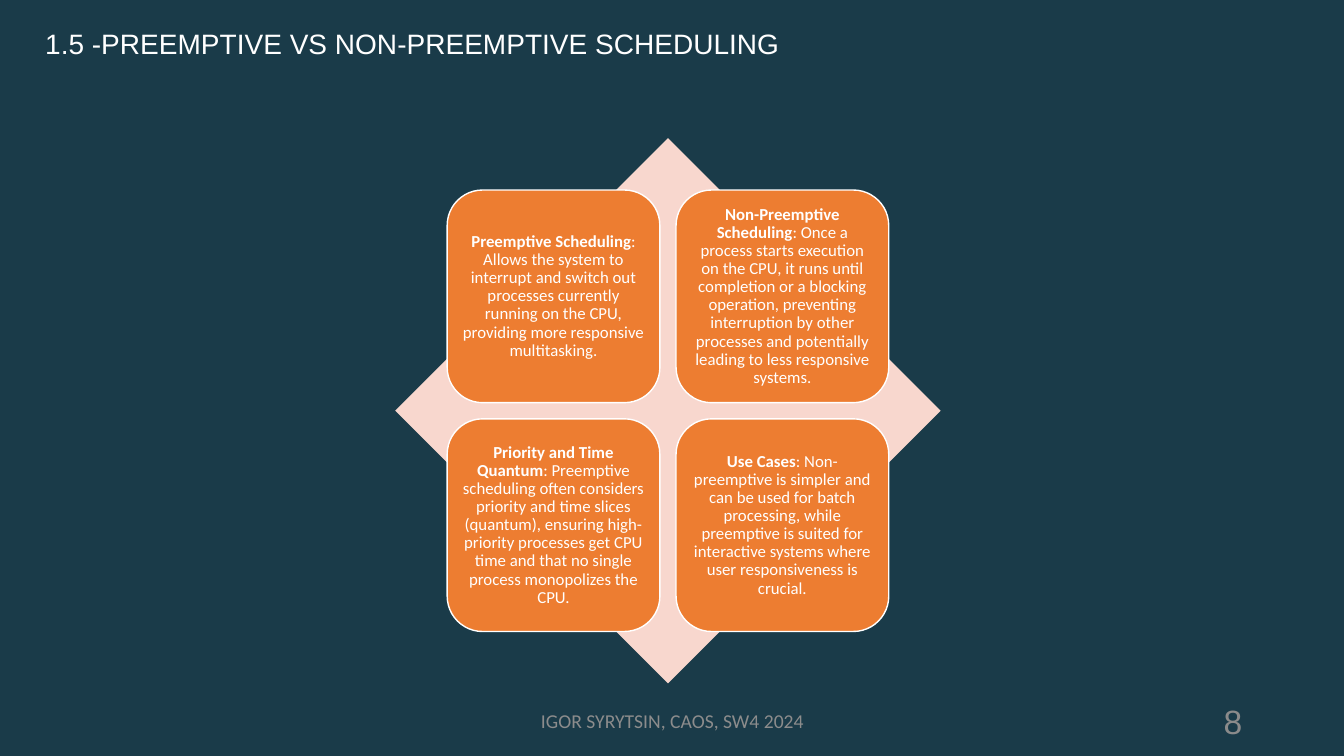
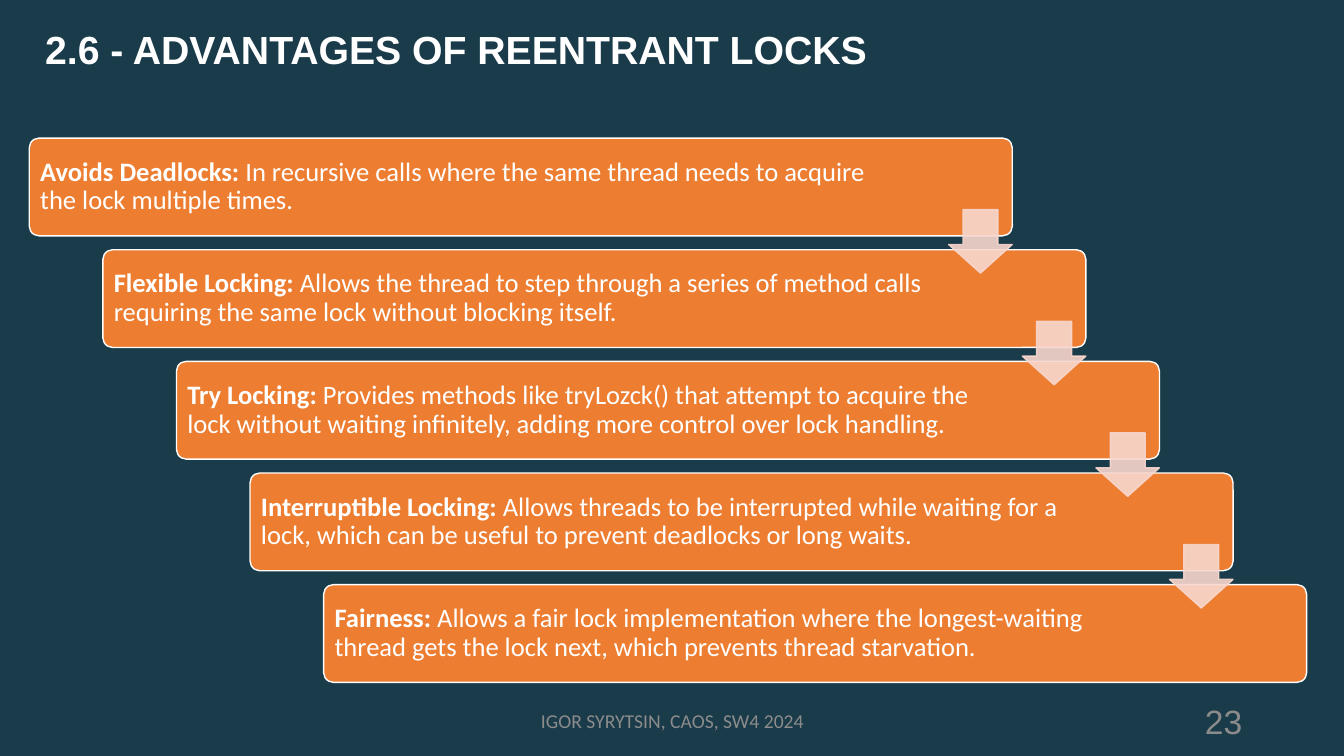
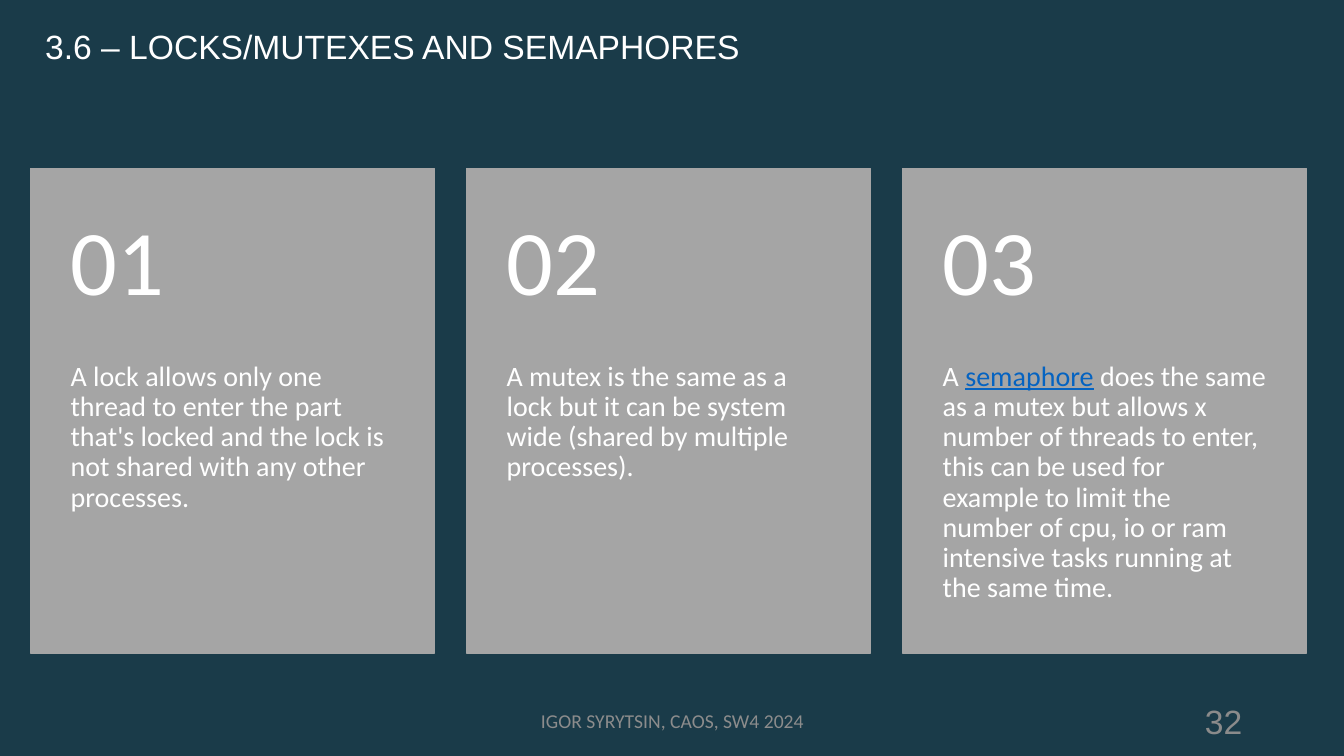
import dataclasses
import lxml.etree
import pptx
import pptx.dml.color
import pptx.enum.shapes
import pptx.enum.text
import pptx.oxml.ns
import pptx.util

Inches = pptx.util.Inches
SHAPE = pptx.enum.shapes.MSO_SHAPE
ANCHOR = pptx.enum.text.MSO_ANCHOR
ALIGN = pptx.enum.text.PP_ALIGN


@dataclasses.dataclass(frozen=True)
class Theme:
    background: str = "1A3B49"
    text: str = "FFFFFF"
    accent: str = "ED7D31"
    pale: str = "F8D7CE"
    card: str = "A5A5A5"
    link: str = "0563C1"
    footer: str = "8C8C8C"
    number: str = "8B8B8B"
    heading_font: str = "Arial"
    body_font: str = "Calibri"
    quadrant_size: int = 12
    footer_size: int = 14
    step_size: int = 19
    card_size: int = 20
    page_number_size: int = 24
    card_number_size: int = 66


@dataclasses.dataclass(frozen=True)
class Box:
    left: float
    top: float
    width: float
    height: float

    def lengths(self):
        return [Inches(side) for side in dataclasses.astuple(self)]


THEME = Theme()
TITLE_BOX = Box(0.35, 0.25, 11.5, 0.68)
FOOTER_BOX = Box(4.42, 6.95, 4.5, 0.4)
NUMBER_BOX = Box(9.42, 6.95, 3, 0.4)
FOOTER = "IGOR SYRYTSIN, CAOS, SW4 2024"

QUADRANTS = [
    ("Preemptive Scheduling",
     ": Allows the system to interrupt and switch out processes currently running "
     "on the CPU, providing more responsive multitasking."),
    ("Non-Preemptive Scheduling",
     ": Once a process starts execution on the CPU, it runs until completion or a "
     "blocking operation, preventing interruption by other processes and "
     "potentially leading to less responsive systems."),
    ("Priority and Time Quantum",
     ": Preemptive scheduling often considers priority and time slices (quantum), "
     "ensuring high-priority processes get CPU time and that no single process "
     "monopolizes the CPU."),
    ("Use Cases",
     ": Non-preemptive is simpler and can be used for batch processing, while "
     "preemptive is suited for interactive systems where user responsiveness is "
     "crucial."),
]

STEPS = [
    ("Avoids Deadlocks:",
     " In recursive calls where the same thread needs to acquire the lock multiple "
     "times."),
    ("Flexible Locking:",
     " Allows the thread to step through a series of method calls requiring the "
     "same lock without blocking itself."),
    ("Try Locking:",
     " Provides methods like tryLozck() that attempt to acquire the lock without "
     "waiting infinitely, adding more control over lock handling."),
    ("Interruptible Locking:",
     " Allows threads to be interrupted while waiting for a lock, which can be "
     "useful to prevent deadlocks or long waits."),
    ("Fairness:",
     " Allows a fair lock implementation where the longest-waiting thread gets the "
     "lock next, which prevents thread starvation."),
]

CARDS = [
    ["A lock allows only one thread to enter the part that's locked and the lock "
     "is not shared with any other processes."],
    ["A mutex is the same as a lock but it can be system wide (shared by multiple "
     "processes)."],
    ["A ", "semaphore",
     " does the same as a mutex but allows x number of threads to enter, this can "
     "be used for example to limit the number of cpu, io or ram intensive tasks "
     "running at the same time."],
]


def color(value):
    return pptx.dml.color.RGBColor.from_string(value)


def add_block(page, preset, box, fill, line=None, adjustments=()):
    shape = page.shapes.add_shape(preset, *box.lengths())
    shape.shadow.inherit = False
    shape.fill.solid()
    shape.fill.fore_color.rgb = color(fill)
    if line:
        shape.line.color.rgb = color(line)
        shape.line.width = pptx.util.Pt(1)
    else:
        shape.line.fill.background()
    for index, value in enumerate(adjustments):
        shape.adjustments[index] = value
    return shape


def set_text(shape, runs, size, ink=THEME.text, font=THEME.body_font,
             align=ALIGN.LEFT, anchor=ANCHOR.MIDDLE, insets=(0.1, 0.05, 0.1, 0.05),
             spacing=0.9):
    frame = shape.text_frame
    frame.word_wrap = True
    frame.vertical_anchor = anchor
    frame.margin_left, frame.margin_top, frame.margin_right, frame.margin_bottom = map(
        Inches, insets)
    para = frame.paragraphs[0]
    para.alignment = align
    para.line_spacing = spacing
    para.font.size = pptx.util.Pt(size)
    para.font.name = font
    para.font.color.rgb = color(ink)
    for text in runs:
        para.add_run().text = text
    return para


def add_text(page, box, text, size, **style):
    return set_text(page.shapes.add_textbox(*box.lengths()), [text], size, **style)


def set_opacity(shape, percent):
    for fill in shape._element.spPr.iter(pptx.oxml.ns.qn("a:srgbClr")):
        alpha = lxml.etree.SubElement(fill, pptx.oxml.ns.qn("a:alpha"))
        alpha.set("val", str(percent * 1000))


def add_page(deck, title, title_size, number, bold=False):
    page = deck.slides.add_slide(deck.slide_layouts[6])
    heading = add_text(page, TITLE_BOX, title, title_size, font=THEME.heading_font,
                       anchor=ANCHOR.TOP)
    heading.font.bold = bold
    add_text(page, FOOTER_BOX, FOOTER, THEME.footer_size, ink=THEME.footer,
             align=ALIGN.CENTER, spacing=1.0)
    add_text(page, NUMBER_BOX, str(number), THEME.page_number_size, ink=THEME.number,
             font=THEME.heading_font, align=ALIGN.RIGHT, spacing=1.0)
    return page


def add_quadrants(page, box):
    side, gap = 2.11, 0.16
    margin = (box.width - 2 * side - gap) / 2
    add_block(page, SHAPE.DIAMOND, box, THEME.pale)
    for index, runs in enumerate(QUADRANTS):
        row, column = divmod(index, 2)
        tile = Box(box.left + margin + column * (side + gap),
                   box.top + margin + row * (side + gap), side, side)
        shape = add_block(page, SHAPE.ROUNDED_RECTANGLE, tile, THEME.accent, THEME.text)
        para = set_text(shape, runs, THEME.quadrant_size, align=ALIGN.CENTER,
                        insets=(0.05,) * 4)
        para.runs[0].font.bold = True


def add_staircase(page, box):
    width, height, arrow_side, arrow_drop = 9.75, 0.97, 0.63, 0.71
    across = (box.width - width) / (len(STEPS) - 1)
    down = (box.height - height) / (len(STEPS) - 1)
    steps = [Box(box.left + index * across, box.top + index * down, width, height)
             for index in range(len(STEPS))]
    for index, (step, runs) in enumerate(zip(steps, STEPS)):
        shape = add_block(page, SHAPE.ROUNDED_RECTANGLE, step, THEME.accent, THEME.text,
                          [0.1])
        right_inset = 1.44 if index else 1.18
        para = set_text(shape, runs, THEME.step_size,
                        insets=(0.08, 0.08, right_inset, 0.08))
        para.runs[0].font.bold = True
    for step in steps[:-1]:
        place = Box(step.left + width - arrow_side, step.top + arrow_drop,
                    arrow_side, arrow_side)
        arrow = add_block(page, SHAPE.DOWN_ARROW, place, THEME.pale, THEME.pale,
                          [0.55, 0.45])
        set_opacity(arrow, 90)


def add_cards(page, box):
    width, number_height = 4.01, 1.92
    pitch = (box.width - width) / (len(CARDS) - 1)
    for index, runs in enumerate(CARDS):
        card = Box(box.left + index * pitch, box.top, width, box.height)
        shape = add_block(page, SHAPE.RECTANGLE, card, THEME.card, THEME.card)
        para = set_text(shape, runs, THEME.card_size, anchor=ANCHOR.TOP,
                        insets=(0.4, number_height, 0.4, 0.36))
        for span in para.runs:
            if span.text == "semaphore":
                span.font.color.rgb = color(THEME.link)
                span.font.underline = True
        add_text(page, dataclasses.replace(card, height=number_height),
                 f"{index + 1:02}", THEME.card_number_size,
                 insets=(0.4, 0.18, 0.4, 0.18))


def main():
    deck = pptx.Presentation()
    deck.slide_width, deck.slide_height = Inches(13.33), Inches(7.5)
    backdrop = deck.slide_master.background.fill
    backdrop.solid()
    backdrop.fore_color.rgb = color(THEME.background)

    page = add_page(deck, "1.5 -PREEMPTIVE VS NON-PREEMPTIVE SCHEDULING", 20, 8)
    add_quadrants(page, Box(3.92, 1.37, 5.41, 5.41))
    page = add_page(deck, "2.6 - ADVANTAGES OF REENTRANT LOCKS", 28, 23, bold=True)
    add_staircase(page, Box(0.29, 1.37, 12.67, 5.4))
    page = add_page(deck, "3.6 – LOCKS/MUTEXES AND SEMAPHORES", 24, 32)
    add_cards(page, Box(0.3, 1.67, 12.66, 4.81))

    deck.save("out.pptx")


if __name__ == "__main__":
    main()
